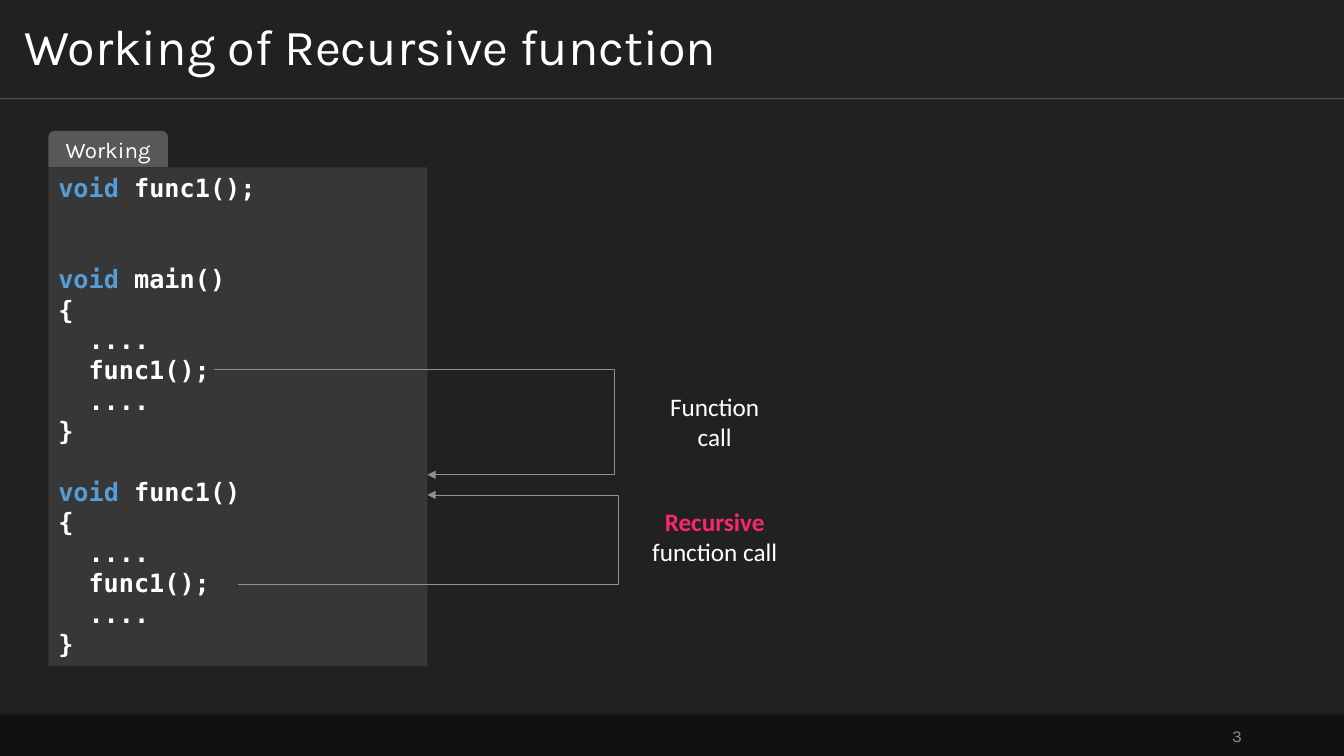
from lxml.etree import SubElement
from pptx import Presentation
from pptx.dml.color import RGBColor
from pptx.enum.shapes import MSO_CONNECTOR, MSO_SHAPE
from pptx.enum.text import MSO_ANCHOR, PP_ALIGN
from pptx.oxml.ns import qn
from pptx.util import Inches, Pt

BACKGROUND = RGBColor(0x21, 0x21, 0x21)
FOOTER = RGBColor(0x11, 0x11, 0x11)
PANEL = RGBColor(0x37, 0x37, 0x37)
TAB = RGBColor(0x58, 0x58, 0x58)
WHITE = RGBColor(0xFF, 0xFF, 0xFF)
GREY = RGBColor(0x8D, 0x8D, 0x8D)
ARROW = RGBColor(0x90, 0x90, 0x90)
BLUE = RGBColor(0x56, 0x9C, 0xD6)
PINK = RGBColor(0xF9, 0x26, 0x72)

HEADING_FONT, BODY_FONT, CODE_FONT = "Karla", "Calibri", "DejaVu Sans Mono"
CODE_LINE = 21.7
CODE_INDENT = Inches(0.3)
PANEL_LEFT, PANEL_TOP, PANEL_WIDTH = 3.6, 22.13, 28.2
PANEL_RIGHT = PANEL_LEFT + PANEL_WIDTH
HEADER_HEIGHT = 13.07

BODY = ["{", "\t....", "\tfunc1();", "\t....", "}"]
CODE_BLOCKS = [
    (0, ["void func1();"]),
    (2, ["void main()"] + BODY),
    (1, ["void func1()"] + BODY),
]
CALLS = [
    ((15.9, 48.8), 62.8, 45.68),
    ((17.7, 77.33), 65.47, 46),
]
LABELS = [
    ((48.6, 51.07, 9.15, 9.47), [("Function call", WHITE, False)]),
    ((47.48, 66.27, 11.4, 9.47),
     [("Recursive", PINK, True), (" function call", WHITE, False)]),
]


class CodeSlide:
    def __init__(self, deck):
        self.width, self.height = deck.slide_width, deck.slide_height
        self.page = deck.slides.add_slide(deck.slide_layouts[5])
        self.page.background.fill.solid()
        self.page.background.fill.fore_color.rgb = BACKGROUND

    def point(self, x, y):
        return round(self.width * x / 100), round(self.height * y / 100)

    def area(self, left, top, width, height):
        return *self.point(left, top), *self.point(width, height)

    def style(self, span, size, font, color, bold=False):
        span.font.size = Pt(size)
        span.font.name = font
        span.font.color.rgb = color
        span.font.bold = bold

    def add_spans(self, para, spans, size, font):
        for text, color, bold in spans:
            span = para.add_run()
            span.text = text
            self.style(span, size, font, color, bold)

    def title(self, text):
        box = self.page.shapes.title
        box.left, box.top, box.width, box.height = self.area(0, 0, 100, HEADER_HEIGHT)
        frame = box.text_frame
        frame.text = text
        frame.vertical_anchor = MSO_ANCHOR.MIDDLE
        frame.margin_left = frame.margin_right = Inches(0.24)
        frame.margin_top = frame.margin_bottom = Inches(0.12)
        para = frame.paragraphs[0]
        para.alignment = PP_ALIGN.LEFT
        para.line_spacing = 0.9
        self.style(para.runs[0], 36, HEADING_FONT, WHITE)

    def block(self, kind, area, color):
        box = self.page.shapes.add_shape(kind, *self.area(*area))
        box.shadow.inherit = False
        box.fill.solid()
        box.fill.fore_color.rgb = color
        box.line.fill.background()
        return box

    def tab(self, text, area):
        box = self.block(MSO_SHAPE.ROUND_2_SAME_RECTANGLE, area, TAB)
        frame = box.text_frame
        frame.text = text
        frame.vertical_anchor = MSO_ANCHOR.MIDDLE
        frame.margin_top = frame.margin_bottom = 0
        frame.paragraphs[0].alignment = PP_ALIGN.CENTER
        self.style(frame.paragraphs[0].runs[0], 16, HEADING_FONT, WHITE)

    def code(self, blocks, area):
        frame = self.block(MSO_SHAPE.RECTANGLE, area, PANEL).text_frame
        frame.vertical_anchor = MSO_ANCHOR.TOP
        para = frame.paragraphs[0]
        for gap, lines in blocks:
            for number, line in enumerate(lines):
                if para.runs:
                    para = frame.add_paragraph()
                para.alignment = PP_ALIGN.LEFT
                para.line_spacing = Pt(CODE_LINE)
                para.space_before = Pt(0 if number else gap * CODE_LINE)
                if line.startswith("\t"):
                    para._p.get_or_add_pPr().set("marL", str(CODE_INDENT))
                before, keyword, after = line.strip().rpartition("void")
                parts = [(keyword, BLUE, True), (after, WHITE, True)]
                self.add_spans(para, [part for part in parts if part[0]], 18, CODE_FONT)

    def label(self, spans, area, size=18, font=BODY_FONT,
              align=PP_ALIGN.CENTER, anchor=MSO_ANCHOR.TOP):
        box = self.page.shapes.add_textbox(*self.area(*area))
        frame = box.text_frame
        frame.word_wrap = True
        frame.vertical_anchor = anchor
        frame.paragraphs[0].alignment = align
        self.add_spans(frame.paragraphs[0], spans, size, font)

    def connect(self, kind, start, end, color):
        line = self.page.shapes.add_connector(kind, *self.point(*start), *self.point(*end))
        line.line.color.rgb = color
        line.line.width = Pt(0.5)
        SubElement(line._element.spPr, qn("a:effectLst"))
        return line

    def rule(self, y, opacity):
        line = self.connect(MSO_CONNECTOR.STRAIGHT, (0, y), (100, y), WHITE)
        color = line._element.spPr.find(".//" + qn("a:srgbClr"))
        SubElement(color, qn("a:alpha"), val=str(opacity * 1000))

    def call(self, start, end, turn):
        line = self.connect(MSO_CONNECTOR.ELBOW, start, end, ARROW)
        properties = line._element.spPr
        SubElement(properties.find(qn("a:ln")), qn("a:tailEnd"), type="triangle")
        bend = round(100000 * (turn - start[0]) / (end[0] - start[0]))
        guides = properties.find(qn("a:prstGeom")).get_or_add_avLst()
        SubElement(guides, qn("a:gd"), name="adj1", fmla=f"val {bend}")


def main():
    deck = Presentation()
    deck.slide_width, deck.slide_height = Inches(13.33), Inches(7.5)
    slide = CodeSlide(deck)
    slide.rule(HEADER_HEIGHT, 30)
    slide.block(MSO_SHAPE.RECTANGLE, (0, 94.53, 100, 5.47), FOOTER)
    slide.label([("3", GREY, False)], (70.65, 94.67, 22.5, 5.33), 12, HEADING_FONT,
                PP_ALIGN.RIGHT, MSO_ANCHOR.MIDDLE)
    slide.title("Working of Recursive function")
    slide.code(CODE_BLOCKS, (PANEL_LEFT, PANEL_TOP, PANEL_WIDTH, 66))
    for start, end_row, turn in CALLS:
        slide.call(start, (PANEL_RIGHT, end_row), turn)
    for area, spans in LABELS:
        slide.label(spans, area)
    slide.tab("Working", (PANEL_LEFT, PANEL_TOP - 4.8, 8.9, 4.8))
    deck.save("out.pptx")


if __name__ == "__main__":
    main()
